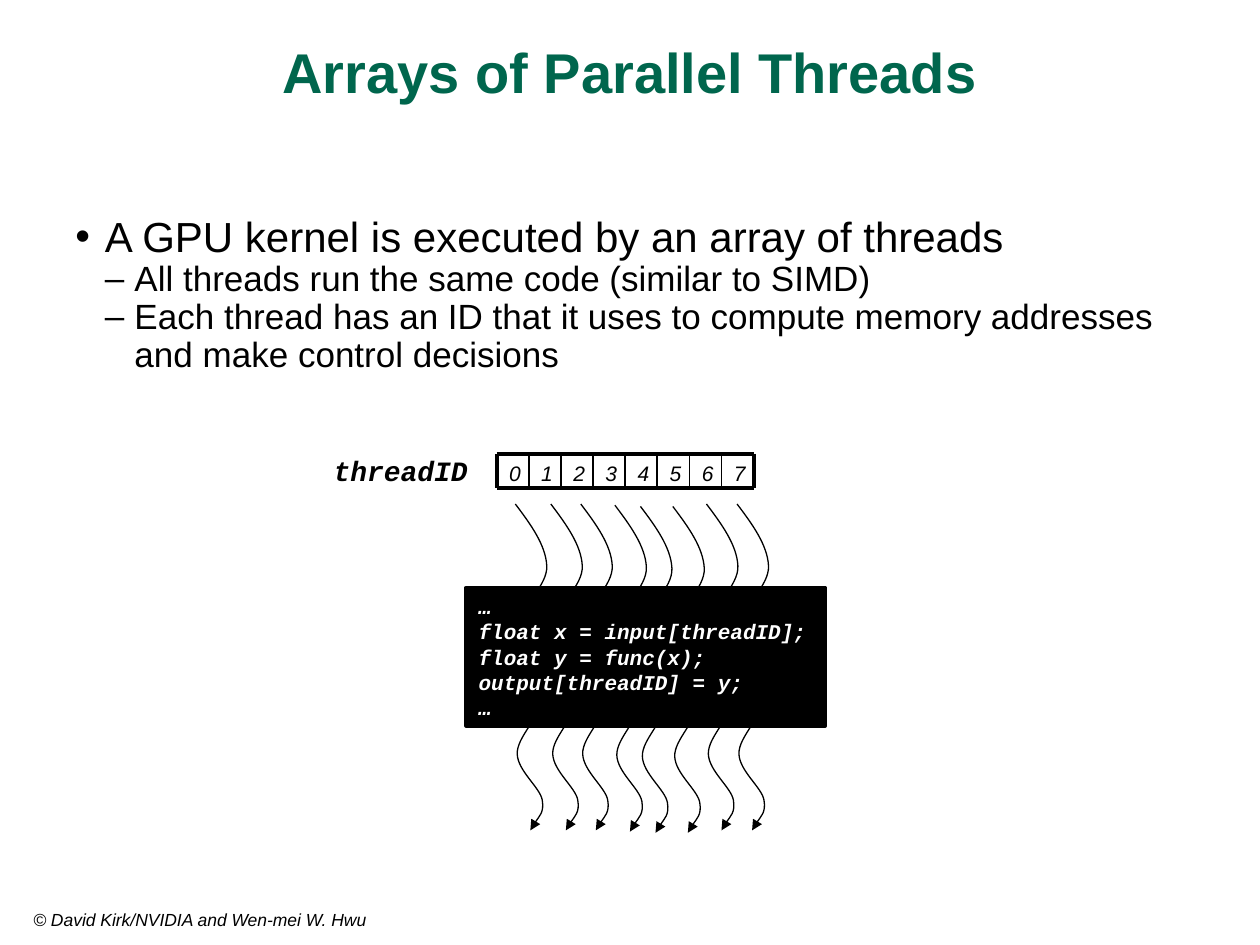
from typing import NamedTuple

from lxml import etree
from pptx import Presentation
from pptx.dml.color import RGBColor
from pptx.enum.shapes import MSO_CONNECTOR, MSO_SHAPE
from pptx.enum.text import MSO_ANCHOR, PP_ALIGN
from pptx.oxml.ns import qn
from pptx.util import Pt

LEFT, CENTER = PP_ALIGN.LEFT, PP_ALIGN.CENTER
TOP, MIDDLE = MSO_ANCHOR.TOP, MSO_ANCHOR.MIDDLE
STRAIGHT, RECTANGLE = MSO_CONNECTOR.STRAIGHT, MSO_SHAPE.RECTANGLE

BLACK = RGBColor(0x00, 0x00, 0x00)
WHITE = RGBColor(0xFF, 0xFF, 0xFF)
GREEN = RGBColor(0x00, 0x66, 0x4D)
SANS, MONO = "Arial", "Courier New"

THREAD_COUNT = 8
ARRAY_LEFT, ARRAY_TOP, ARRAY_BOTTOM = 283.8, 259.4, 278.7
CELL_WIDTH = 18.36
BULLET_INDENT = 16.9


class Box(NamedTuple):
    left: float
    top: float
    width: float
    height: float


class Bullet(NamedTuple):
    text: str
    mark: str
    level: int
    size: float


class Thread(NamedTuple):
    left: float
    top: float


BULLETS = [
    Bullet("A GPU kernel is executed by an array of threads", "•", 0, 24),
    Bullet("All threads run the same code (similar to SIMD)", "–", 1, 20),
    Bullet("Each thread has an ID that it uses to compute memory addresses "
           "and make control decisions", "–", 1, 20),
]
CODE = ["…", "float x = input[threadID];", "float y = func(x);",
        "output[threadID] = y;", "…"]
THREADS = [
    Thread(294.5, 288), Thread(314.8, 288), Thread(331.9, 288), Thread(351.4, 288.7),
    Thread(366, 289.4), Thread(384.5, 289.4), Thread(403.7, 288), Thread(421.2, 288),
]
# Bezier points of one thread, relative to its start; three per curve segment.
THREAD_CURVE = [
    (8.8, 11.6), (17.4, 23.5), (18, 35.3),
    (18.6, 47), (3, 57.8), (2.3, 70.3),
    (1.7, 82.8), (14.8, 98.6), (14.4, 110.9),
    (14, 123), (0.9, 132.9), (1.1, 142.8),
    (1.4, 152.6), (14.2, 162), (15.4, 169.2),
    (16.6, 176.4), (9.7, 183.6), (8.6, 186.5),
]


def place(shape, box: Box) -> None:
    shape.left, shape.top, shape.width, shape.height = map(Pt, box)


def write(frame, lines: list[str], *, size: float, font: str = SANS,
          color: RGBColor = BLACK, bold: bool = False, italic: bool = False,
          align=LEFT, anchor=TOP, wrap: bool = True) -> None:
    frame.word_wrap = wrap
    frame.vertical_anchor = anchor
    for index, line in enumerate(lines):
        paragraph = frame.paragraphs[0] if index == 0 else frame.add_paragraph()
        paragraph.text = line
        paragraph.alignment = align
        style = paragraph.font
        style.name, style.size, style.color.rgb = font, Pt(size), color
        style.bold, style.italic = bold, italic


def add_text(slide, box: Box, lines: list[str], **text_format) -> None:
    write(slide.shapes.add_textbox(*map(Pt, box)).text_frame, lines, **text_format)


def add_bullets(slide, box: Box, bullets: list[Bullet]) -> None:
    frame = slide.shapes.add_textbox(*map(Pt, box)).text_frame
    frame.word_wrap = True
    for index, bullet in enumerate(bullets):
        paragraph = frame.paragraphs[0] if index == 0 else frame.add_paragraph()
        paragraph.text = bullet.text
        paragraph.level = bullet.level
        paragraph.line_spacing = 0.9
        properties = paragraph._p.get_or_add_pPr()
        properties.set("marL", str(Pt(BULLET_INDENT * (bullet.level + 1))))
        properties.set("indent", str(-Pt(BULLET_INDENT)))
        etree.SubElement(properties, qn("a:buFont"), typeface=SANS)
        etree.SubElement(properties, qn("a:buChar"), char=bullet.mark)
        style = paragraph.font
        style.name, style.size, style.color.rgb = SANS, Pt(bullet.size), BLACK


def add_line(slide, x1: float, y1: float, x2: float, y2: float, weight: float) -> None:
    line = slide.shapes.add_connector(STRAIGHT, Pt(x1), Pt(y1), Pt(x2), Pt(y2))
    line.line.color.rgb = BLACK
    line.line.width = Pt(weight)
    etree.SubElement(line._element.spPr, qn("a:effectLst"))


def add_thread_array(slide) -> None:
    """Draw the row of numbered cells."""
    right = ARRAY_LEFT + THREAD_COUNT * CELL_WIDTH
    for number in range(THREAD_COUNT):
        cell = Box(ARRAY_LEFT + number * CELL_WIDTH, ARRAY_TOP,
                   CELL_WIDTH, ARRAY_BOTTOM - ARRAY_TOP)
        add_text(slide, cell, [str(number)], size=12, italic=True)
    for y in (ARRAY_TOP, ARRAY_BOTTOM):
        add_line(slide, ARRAY_LEFT, y, right, y, 2.25)
    for edge in range(THREAD_COUNT + 1):
        x = ARRAY_LEFT + edge * CELL_WIDTH
        weight = 2.25 if edge in (0, THREAD_COUNT) else 1
        add_line(slide, x, ARRAY_TOP, x, ARRAY_BOTTOM, weight)


def add_thread(slide, thread: Thread) -> None:
    """Draw one wavy arrow, turning each three straight segments into a curve."""
    builder = slide.shapes.build_freeform(Pt(thread.left), Pt(thread.top))
    builder.add_line_segments(
        [(Pt(thread.left + x), Pt(thread.top + y)) for x, y in THREAD_CURVE], close=False)
    wave = builder.convert_to_shape()
    outline = wave._element.spPr.find(".//" + qn("a:path"))
    segments = outline.findall(qn("a:lnTo"))
    for start in range(0, len(segments), 3):
        curve = etree.SubElement(outline, qn("a:cubicBezTo"))
        for segment in segments[start:start + 3]:
            curve.append(segment[0])
            outline.remove(segment)
    wave.shadow.inherit = False
    wave.fill.background()
    wave.line.color.rgb = BLACK
    wave.line.width = Pt(0.75)
    etree.SubElement(wave.line._get_or_add_ln(), qn("a:tailEnd"), type="triangle")


def add_code(slide, box: Box) -> None:
    panel = slide.shapes.add_shape(RECTANGLE, *map(Pt, box))
    panel.shadow.inherit = False
    panel.fill.solid()
    panel.fill.fore_color.rgb = BLACK
    panel.line.color.rgb = BLACK
    panel.line.width = Pt(2)
    write(panel.text_frame, CODE, size=12, font=MONO, color=WHITE,
          bold=True, italic=True, anchor=MIDDLE)


def main() -> None:
    deck = Presentation()
    deck.slide_width, deck.slide_height = Pt(720), Pt(540)
    slide = deck.slides.add_slide(deck.slide_layouts[5])

    title = slide.shapes.title
    place(title, Box(33, 18, 654, 55.5))
    write(title.text_frame, ["Arrays of Parallel Threads"], size=32, color=GREEN,
          bold=True, align=CENTER)

    add_text(slide, Box(12, 516, 324, 18), ["© David Kirk/NVIDIA and Wen-mei W. Hwu"],
             size=10, italic=True)
    add_bullets(slide, Box(36, 120, 654, 382), BULLETS)
    add_thread_array(slide)
    for thread in THREADS:
        add_thread(slide, thread)
    add_code(slide, Box(266.4, 335.8, 205.2, 79))
    add_text(slide, Box(183.6, 255.6, 94, 26.6), ["threadID"], size=16, font=MONO,
             bold=True, italic=True, wrap=False)
    deck.save("out.pptx")


if __name__ == "__main__":
    main()
